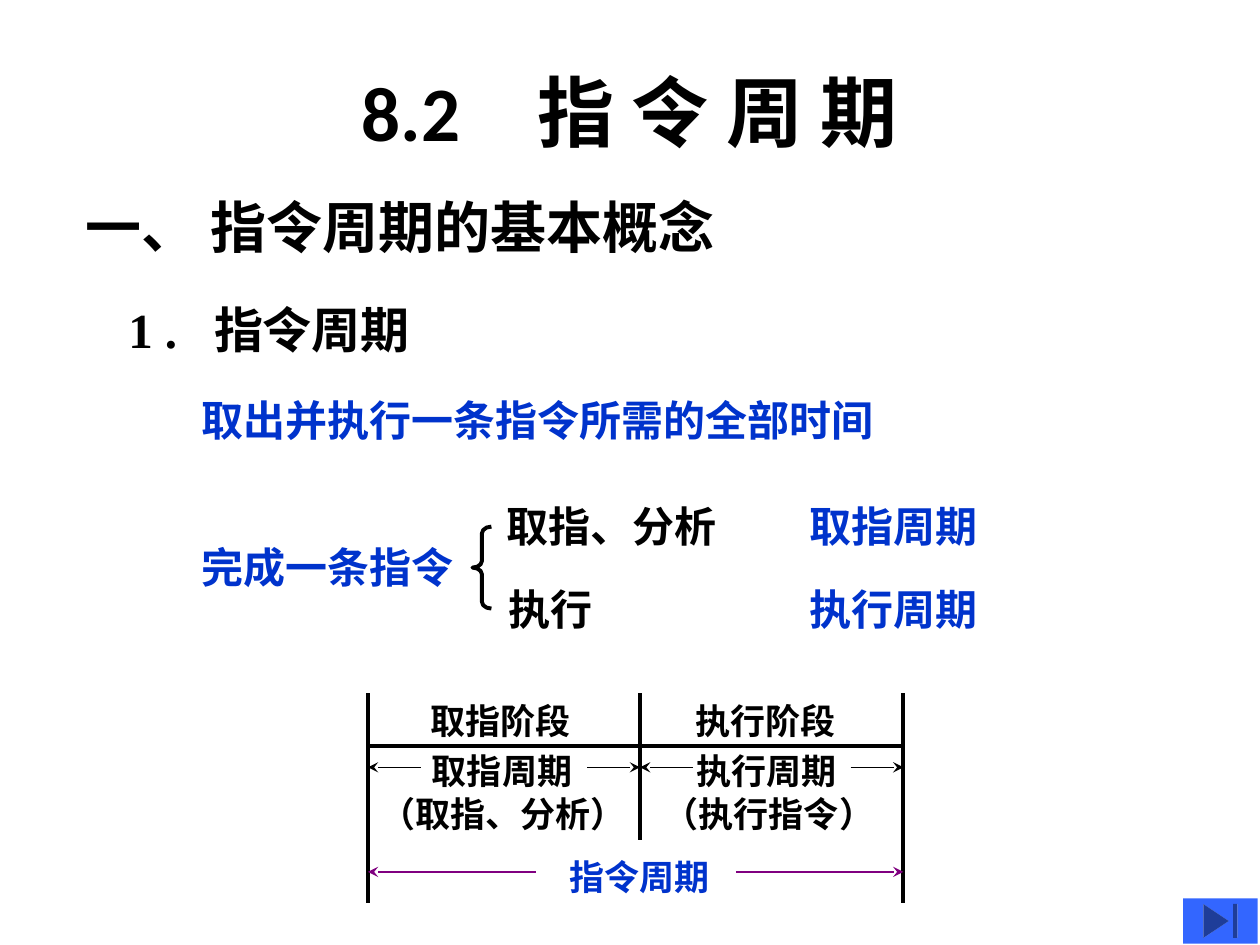
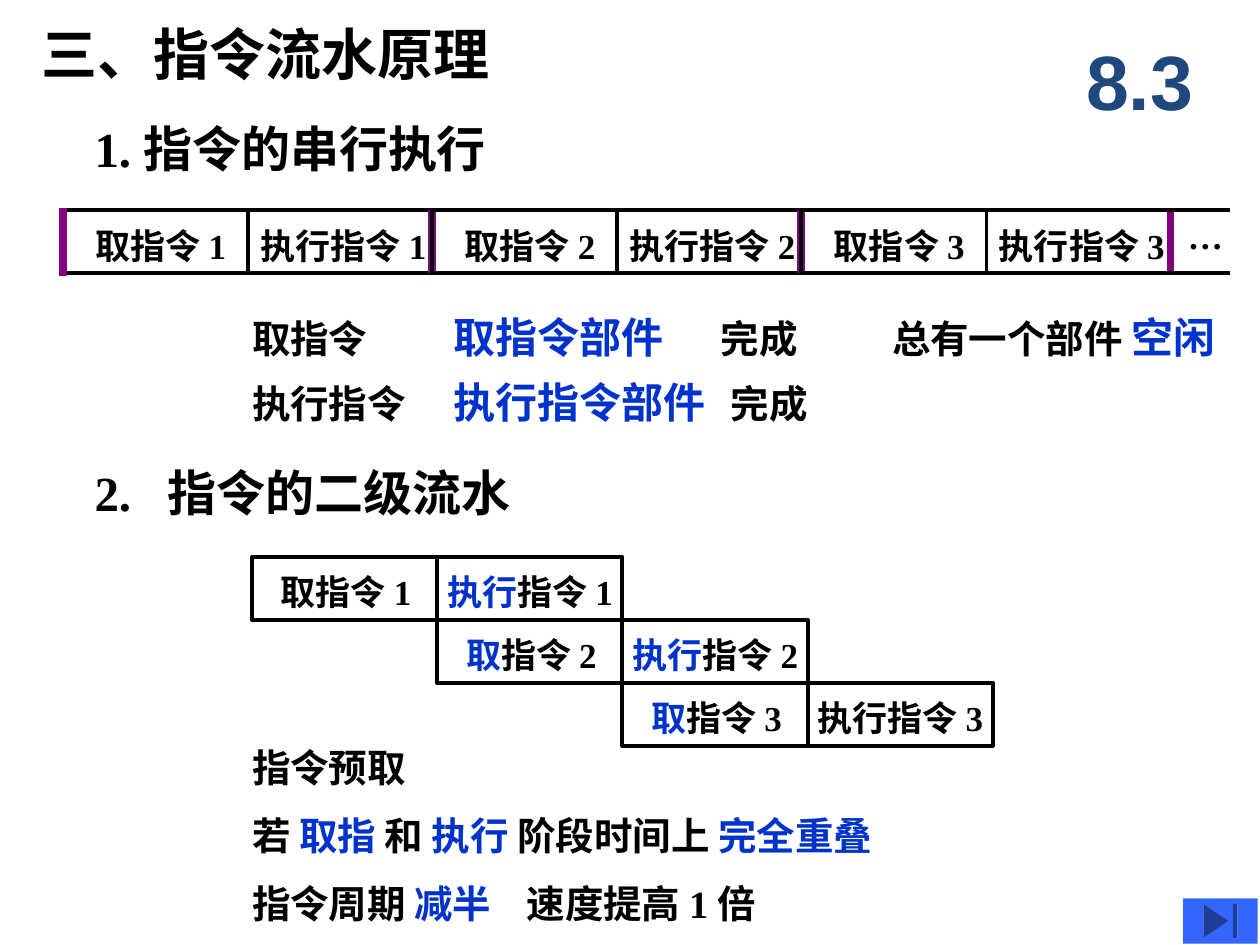
from dataclasses import dataclass
from lxml.etree import SubElement
from pptx import Presentation
from pptx.dml.color import RGBColor
from pptx.enum.shapes import MSO_CONNECTOR, MSO_SHAPE
from pptx.enum.text import MSO_ANCHOR, MSO_AUTO_SIZE, PP_ALIGN
from pptx.oxml.ns import qn
from pptx.util import Inches, Pt


@dataclass(frozen=True)
class Theme:
    """Colours, fonts, type sizes and line widths shared by the slides."""
    black: str = "000000"
    blue: str = "0033CC"
    purple: str = "800080"
    navy: str = "1F497D"
    button: str = "3366FF"
    body_font: str = "Times New Roman"
    title_font: str = "Calibri"
    number_font: str = "Arial"
    title: int = 44
    section: int = 32
    heading: int = 28
    body: int = 24
    note: int = 22
    label: int = 20
    rule: float = 2.25
    thin: float = 0.75
    thick: float = 4.5


THEME = Theme()


def add_text(slide, left, top, width, height, runs, size, font=THEME.body_font,
             align=PP_ALIGN.LEFT, middle=False, flush=False, wrap=True, tabs=()):
    """Add a bold one-paragraph text box from (text, colour[, size]) runs."""
    shape = slide.shapes.add_textbox(Inches(left), Inches(top), Inches(width), Inches(height))
    frame = shape.text_frame
    frame.word_wrap = wrap
    if middle:
        frame.vertical_anchor = MSO_ANCHOR.MIDDLE
    else:
        frame.auto_size = MSO_AUTO_SIZE.SHAPE_TO_FIT_TEXT
    if flush:
        frame.margin_left = frame.margin_right = frame.margin_top = 0
    paragraph = frame.paragraphs[0]
    paragraph.alignment = align
    if tabs:
        stops = SubElement(paragraph._p.get_or_add_pPr(), qn("a:tabLst"))
        for position in tabs:
            SubElement(stops, qn("a:tab"), pos=str(Inches(position)), algn="l")
    for text, color, *own_size in runs:
        run = paragraph.add_run()
        run.text = text
        run.font.name = font
        run.font.size = Pt(own_size[0] if own_size else size)
        run.font.bold = True
        run.font.color.rgb = RGBColor.from_string(color)


def add_line(slide, start, end, color=THEME.black, width=THEME.rule, arrow=False):
    """Draw a straight line, with a stealth arrowhead at its end if asked."""
    line = slide.shapes.add_connector(MSO_CONNECTOR.STRAIGHT, *map(Inches, start + end))
    line.line.color.rgb = RGBColor.from_string(color)
    line.line.width = Pt(width)
    if arrow:
        SubElement(line.line._get_or_add_ln(), qn("a:tailEnd"), type="stealth")
    SubElement(line._element.spPr, qn("a:effectLst"))


def add_outline(slide, kind, left, top, width, height):
    """Add an unfilled preset shape with a black outline."""
    shape = slide.shapes.add_shape(kind, *map(Inches, (left, top, width, height)))
    shape.shadow.inherit = False
    shape.fill.background()
    shape.line.color.rgb = RGBColor.from_string(THEME.black)
    shape.line.width = Pt(THEME.rule)
    return shape


def add_end_button(slide):
    """Add the navigation button in the bottom right corner."""
    shape = slide.shapes.add_shape(MSO_SHAPE.ACTION_BUTTON_END, *map(Inches, (9.39, 7.13, 0.59, 0.36)))
    shape.shadow.inherit = False
    shape.fill.solid()
    shape.fill.fore_color.rgb = RGBColor.from_string(THEME.button)
    shape.line.fill.background()


def add_steps(slide, left, top):
    """Show the two steps of an instruction beside a brace, with their cycles."""
    black, blue = THEME.black, THEME.blue
    add_text(slide, left, top + 0.33, 3, 0.5, [("完成一条指令", blue)], THEME.body)
    brace = add_outline(slide, MSO_SHAPE.LEFT_BRACE, left + 2.25, top + 0.26, 0.15, 0.65)
    brace.adjustments[0] = 0.354
    steps = [("取指、分析", "取指周期", 2.42), ("执行", "执行周期", 2.44)]
    for row, (step, cycle, offset) in enumerate(steps):
        y = top + row * 0.66
        add_text(slide, left + offset, y, 2.17, 0.5, [(step, black)], THEME.body)
        add_text(slide, left + 4.83, y, 2, 0.5, [(cycle, blue)], THEME.body)


def add_cycle_diagram(slide, left, top):
    """Draw the instruction cycle split into its fetch and execute stages."""
    middle, right = left + 2.16, left + 4.25
    add_line(slide, (left, top + 0.42), (right, top + 0.42))
    for x, height in ((left, 1.67), (middle, 1.17), (right, 1.67)):
        add_line(slide, (x, top), (x, top + height))
    stages = [
        (left, middle, 0.4, "取指阶段", "取指周期", 0, 2.15, "（取指、分析）"),
        (middle, right, 0.34, "执行阶段", "执行周期", 0.09, 1.87, "（执行指令）"),
    ]
    for start, end, inset, stage, cycle, detail_inset, detail_width, detail in stages:
        labels = [(inset, 0, 1.31, stage), (inset + 0.01, 0.4, 1.31, cycle),
                  (detail_inset, 0.74, detail_width, detail)]
        for offset, drop, width, text in labels:
            add_text(slide, start + offset, top + drop, width, 0.43,
                     [(text, THEME.black)], THEME.label, wrap=False)
        add_span(slide, start, end, top + 0.59, 0.42, THEME.black)
    add_text(slide, left + 1.5, top + 1.24, 1.33, 0.44,
             [("指令周期", THEME.blue)], THEME.label, wrap=False)
    add_span(slide, left, right, top + 1.42, 1.33, THEME.purple)


def add_span(slide, left, right, y, length, color):
    """Draw two arrows that point outwards to the ends of a span."""
    for end, start in ((left, left + length), (right, right - length)):
        add_line(slide, (start, y), (end, y), color, THEME.thin, arrow=True)


def add_cell(slide, left, top, runs, text_offset, text_width):
    """Draw one stage of an instruction as a labelled cell."""
    add_outline(slide, MSO_SHAPE.RECTANGLE, left, top, 1.47, 0.5)
    add_text(slide, left + text_offset, top + 0.06, text_width, 0.43, runs, THEME.label, wrap=False)


def add_serial_timeline(slide, left, top):
    """Draw three instructions that run one after another, then an ellipsis."""
    pitch, cell, height = 2.93, 1.47, 0.5
    for index in range(3):
        x = left + index * pitch
        add_cell(slide, x, top, [(f"取指令 {index + 1}", THEME.black)], 0.16, 1.25)
        add_cell(slide, x + cell, top, [(f"执行指令 {index + 1}", THEME.black)], 0, 1.53)
        end = x + pitch
        add_line(slide, (end, top), (end, top + height), THEME.purple, THEME.thick)
    add_line(slide, (left, top - 0.02), (left, top + height + 0.02), THEME.purple, THEME.thick)
    add_text(slide, left + 8.83, top - 0.02, 0.48, 0.43, [("…", THEME.black)], THEME.label, wrap=False)
    for y in (top, top + height):
        add_line(slide, (left + 8.75, y), (left + 9.26, y))


def add_pipeline(slide, left, top):
    """Draw three instructions overlapped in a two-stage pipeline."""
    cell, height, count = 1.47, 0.5, 3
    for index in range(count):
        x, y = left + index * cell, top + index * height
        number = index + 1
        fetch = THEME.blue if index > 0 else THEME.black
        execute = THEME.blue if index < count - 1 else THEME.black
        add_cell(slide, x, y, [("取", fetch), (f"指令 {number}", THEME.black)], 0.13, 1.25)
        add_cell(slide, x + cell, y, [("执行", execute), (f"指令 {number}", THEME.black)], -0.02, 1.53)


def build_cycle_slide(presentation):
    """Build the slide on the basic idea of the instruction cycle."""
    slide = presentation.slides.add_slide(presentation.slide_layouts[6])
    black, blue = THEME.black, THEME.blue
    add_text(slide, 0.75, 0.25, 8.5, 1.25, [("8.2\u3000指 令 周 期", black)], THEME.title,
             THEME.title_font, PP_ALIGN.CENTER, middle=True)
    add_text(slide, 0.58, 1.48, 6.25, 0.63, [("一、 指令周期的基本概念", black)], THEME.section)
    add_text(slide, 0.92, 2.33, 6.25, 0.57, [("1 .\t指令周期", black)], THEME.heading, tabs=(0.68,))
    add_text(slide, 1.5, 3.08, 6.25, 0.5, [("取出并执行一条指令所需的全部时间", blue)], THEME.body)
    add_steps(slide, 1.5, 3.92)
    add_cycle_diagram(slide, 2.92, 5.5)
    add_end_button(slide)


def build_pipeline_slide(presentation):
    """Build the slide that compares serial execution with a pipeline."""
    slide = presentation.slides.add_slide(presentation.slide_layouts[6])
    black, blue, body = THEME.black, THEME.blue, THEME.body
    rows = [
        (0.33, 0.25, 4.33, THEME.section, (), [("三、指令流水原理", black)]),
        (0.75, 1, 5.12, THEME.heading, (), [("1. 指令的串行执行", black)]),
        (2, 2.5, 5.12, THEME.note, (1.6, 3.72),
         [("取指令\t", black), ("取指令部件\t", blue, body), ("完成", black)]),
        (7.08, 2.5, 2.83, THEME.note, (), [("总有一个部件 ", black), ("空闲", blue, body)]),
        (2, 3.02, 5.12, THEME.note, (1.6, 3.8),
         [("执行指令\t", black), ("执行指令部件\t", blue, body), ("完成", black)]),
        (0.75, 3.73, 5.12, THEME.heading, (0.58,), [("2.\t指令的二级流水", black)]),
        (2, 5.92, 5.12, THEME.note, (), [("指令预取", black)]),
        (2, 6.46, 5.75, THEME.note, (),
         [("若 ", black), ("取指 ", blue), ("和 ", black), ("执行 ", blue),
          ("阶段时间上 ", black), ("完全重叠", blue)]),
        (2, 7, 5.12, THEME.note, (2.18,),
         [("指令周期 ", black), ("减半", blue), ("\t速度提高 1 倍", black)]),
    ]
    for left, top, width, size, tabs, runs in rows:
        add_text(slide, left, top, width, 0.39, runs, size, middle=True, flush=True, tabs=tabs)
    add_text(slide, 8.42, 0.17, 1.25, 0.92, [("8.3", THEME.navy)], THEME.title,
             THEME.number_font, PP_ALIGN.CENTER, middle=True)
    add_serial_timeline(slide, 0.5, 1.67)
    add_pipeline(slide, 2, 4.42)
    add_end_button(slide)


def main():
    """Build and save the presentation."""
    presentation = Presentation()
    presentation.slide_width, presentation.slide_height = Inches(10), Inches(7.5)
    build_cycle_slide(presentation)
    build_pipeline_slide(presentation)
    presentation.save("out.pptx")


main()
